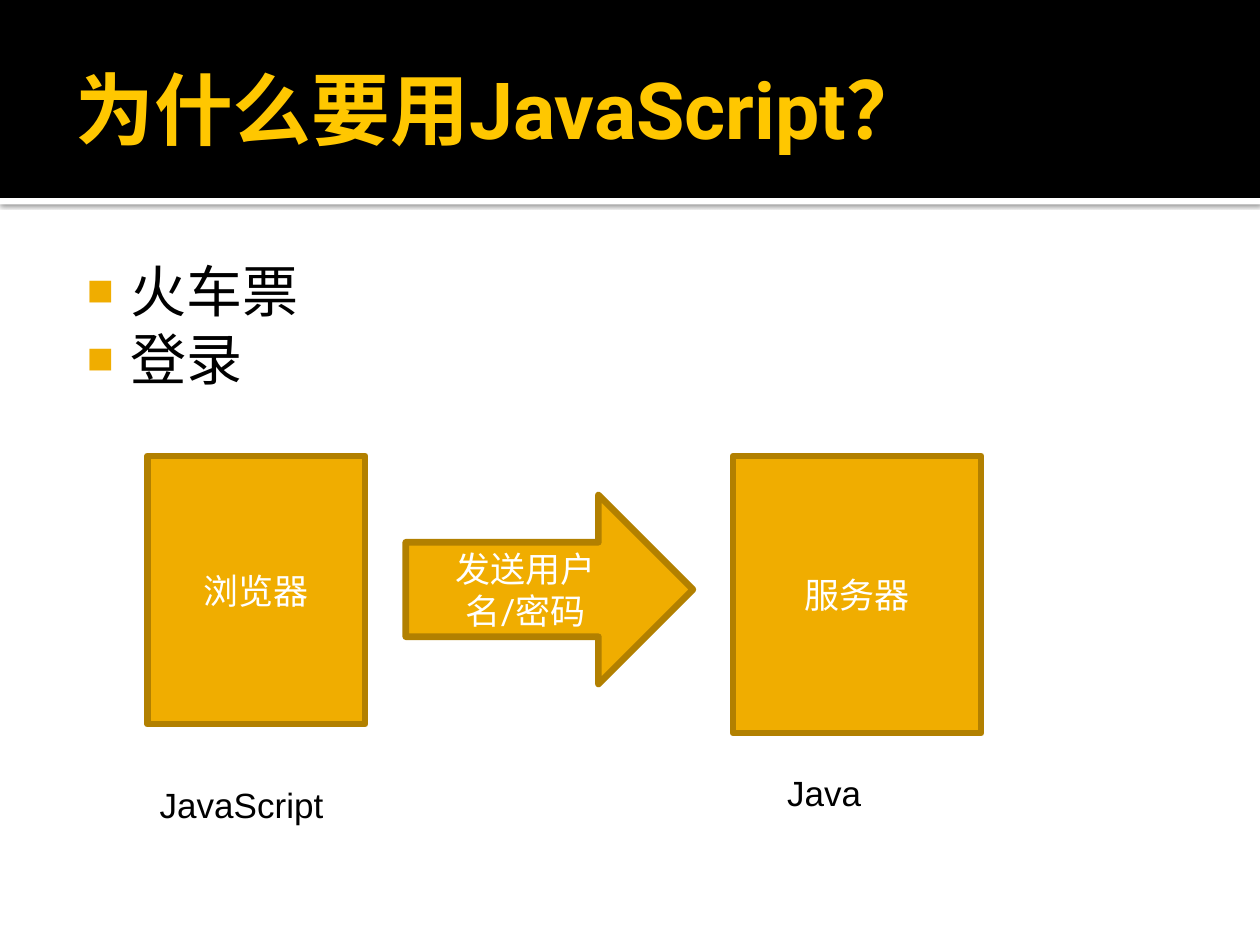
from lxml.etree import SubElement
from pptx import Presentation
from pptx.dml.color import RGBColor
from pptx.enum.shapes import MSO_SHAPE as Preset
from pptx.enum.text import MSO_ANCHOR as Anchor, PP_ALIGN as Align
from pptx.oxml.ns import qn
from pptx.util import Cm, Pt

COLORS = {"black": "000000", "white": "FFFFFF", "title": "FFC700",
          "amber": "F0AD00", "edge": "B28000"}
TITLE = "为什么要用JavaScript？"
BULLETS = ["火车票", "登录"]
BANDS = [("white", (0, 3.99, 25.4, 0.13)), ("black", (0, 0, 25.4, 3.99))]
STEPS = [
    ("浏览器", Preset.RECTANGLE, (2.97, 9.19, 4.39, 5.41)),
    ("服务器", Preset.RECTANGLE, (14.78, 9.19, 5, 5.59)),
    ("发送用户名/密码", Preset.RIGHT_ARROW, (8.18, 9.98, 5.79, 3.81)),
]
LANGUAGES = [("JavaScript", (2.97, 15.67, 5.87, 1.09)),
             ("Java", (15.62, 15.42, 5.05, 1.09))]


def rgb(name):
    return RGBColor.from_string(COLORS[name])


def place(box, area):
    box.left, box.top, box.width, box.height = map(Cm, area)


def set_margins(frame, left, top, right, bottom):
    frame.margin_left, frame.margin_top = Cm(left), Cm(top)
    frame.margin_right, frame.margin_bottom = Cm(right), Cm(bottom)


def style(para, size, color, align=Align.LEFT, font="Roboto", bold=False):
    para.alignment = align
    para.font.name, para.font.size, para.font.bold = font, Pt(size), bold
    para.font.color.rgb = rgb(color)


def add_block(page, preset, area, fill):
    block = page.shapes.add_shape(preset, *map(Cm, area))
    block.shadow.inherit = False
    block.fill.solid()
    block.fill.fore_color.rgb = rgb(fill)
    block.line.fill.background()
    return block


def add_shadow(block):
    effects = block.element.spPr.find(qn("a:effectLst"))
    shadow = SubElement(effects, qn("a:outerShdw"), blurRad=str(Pt(2.5)),
                        dist=str(Pt(0.8)), dir="5400000", algn="tl", rotWithShape="0")
    color = SubElement(shadow, qn("a:srgbClr"), val=COLORS["black"])
    SubElement(color, qn("a:alpha"), val="60000")


def add_bullet(para):
    props = para._p.get_or_add_pPr()
    props.set("marL", str(Cm(1.22)))
    props.set("indent", str(Cm(-0.89)))
    color = SubElement(props, qn("a:buClr"))
    SubElement(color, qn("a:srgbClr"), val=COLORS["amber"])
    SubElement(props, qn("a:buSzPct"), val="80000")
    SubElement(props, qn("a:buFont"), typeface="Arial")
    SubElement(props, qn("a:buChar"), char="■")


def add_title(page):
    title = page.shapes.title
    place(title, (1.27, 0.43, 22.86, 3.48))
    title.element.getparent().append(title.element)
    frame = title.text_frame
    frame.text = TITLE
    frame.word_wrap, frame.vertical_anchor = True, Anchor.MIDDLE
    set_margins(frame, 0.25, 0.13, 0.13, 0.13)
    style(frame.paragraphs[0], 45, "title", bold=True)


def add_bullets(page):
    box = page.shapes.add_textbox(*map(Cm, (1.27, 4.93, 22.86, 12.85)))
    frame = box.text_frame
    frame.word_wrap = True
    set_margins(frame, 0.15, 0.25, 0.25, 0.13)
    frame.text = "\n".join(BULLETS)
    for para in frame.paragraphs:
        add_bullet(para)
        style(para, 32, "black")


def add_step(page, label, preset, area):
    step = add_block(page, preset, area, "amber")
    step.line.color.rgb = rgb("edge")
    step.line.width = Pt(3.78)
    step.text_frame.text = label
    step.text_frame.word_wrap = True
    step.text_frame.vertical_anchor = Anchor.MIDDLE
    style(step.text_frame.paragraphs[0], 20, "white", Align.CENTER)


def add_language(page, label, area):
    box = page.shapes.add_textbox(*map(Cm, area))
    box.text_frame.word_wrap = True
    box.text_frame.text = label
    style(box.text_frame.paragraphs[0], 20, "black", font="Arial")


def main():
    """Build the slide on why JavaScript is used."""
    deck = Presentation()
    deck.slide_width, deck.slide_height = Cm(25.4), Cm(19.05)
    page = deck.slides.add_slide(deck.slide_layouts[5])
    bands = [add_block(page, Preset.RECTANGLE, area, fill) for fill, area in BANDS]
    add_shadow(bands[0])
    add_title(page)
    add_bullets(page)
    for step in STEPS:
        add_step(page, *step)
    for language in LANGUAGES:
        add_language(page, *language)
    deck.save("out.pptx")


if __name__ == "__main__":
    main()
